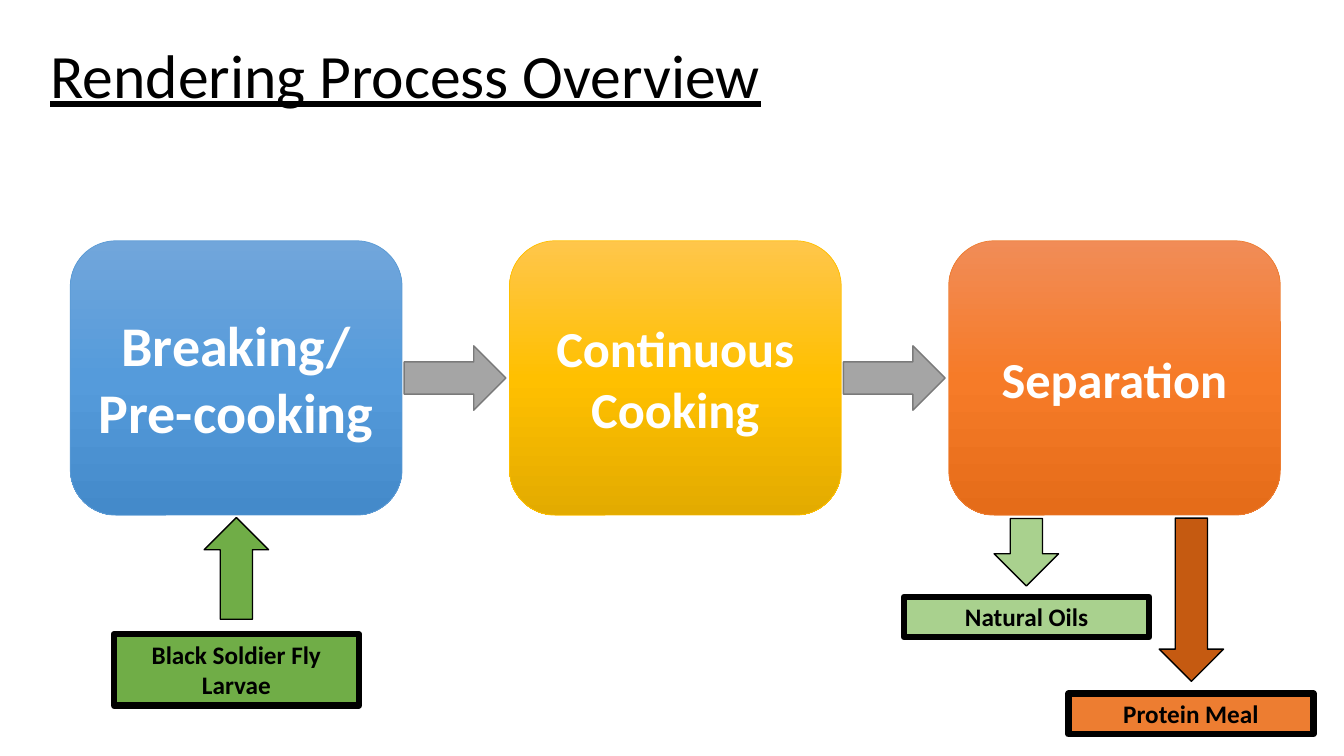
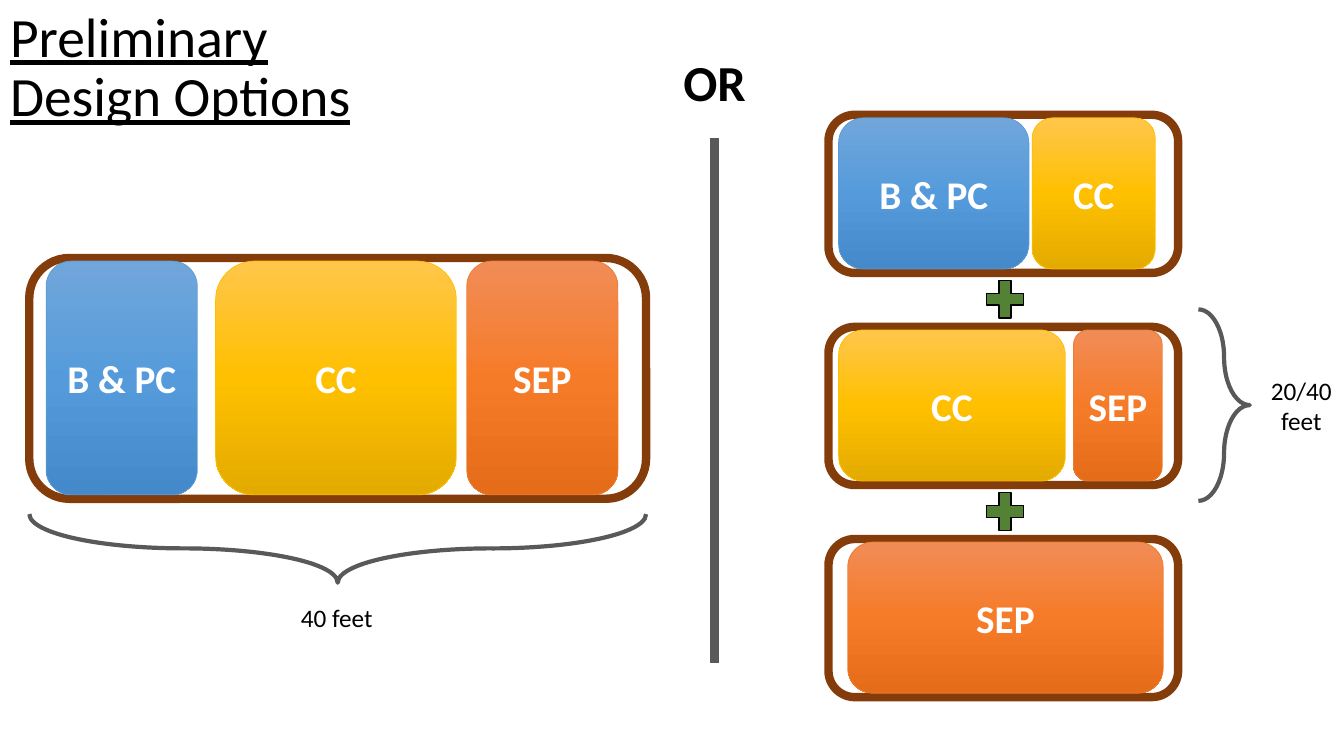
from copy import deepcopy
from dataclasses import dataclass

from lxml import etree
from pptx import Presentation
from pptx.dml.color import RGBColor
from pptx.enum.shapes import MSO_CONNECTOR, MSO_SHAPE
from pptx.enum.text import MSO_ANCHOR, PP_ALIGN
from pptx.oxml.ns import qn
from pptx.util import Pt

ROUNDED = MSO_SHAPE.ROUNDED_RECTANGLE
RECTANGLE = MSO_SHAPE.RECTANGLE
ARROW = MSO_SHAPE.RIGHT_ARROW
BRACE = MSO_SHAPE.RIGHT_BRACE
PLUS = MSO_SHAPE.MATH_PLUS
STRAIGHT = MSO_CONNECTOR.STRAIGHT
LEFT, CENTER = PP_ALIGN.LEFT, PP_ALIGN.CENTER
TOP, MIDDLE = MSO_ANCHOR.TOP, MSO_ANCHOR.MIDDLE

FONT = "Calibri"
BLACK, WHITE = "000000", "FFFFFF"
GRAY, GRAY_EDGE, DARK_GRAY = "A5A5A5", "7A7A7A", "595959"
GREEN, LIGHT_GREEN, DARK_GREEN = "70AD47", "A9D18E", "548235"
ORANGE, DARK_ORANGE, BROWN = "ED7D31", "C55A11", "843C0B"


@dataclass(frozen=True)
class Box:
    left: float
    top: float
    width: float
    height: float

    def points(self) -> tuple:
        return Pt(self.left), Pt(self.top), Pt(self.width), Pt(self.height)


@dataclass(frozen=True)
class Stage:
    """A process stage: its short name and its gradient colours."""
    short: str
    stops: tuple[str, str, str]
    edge: str


@dataclass(frozen=True)
class Step:
    stage: Stage
    text: str
    size: float


@dataclass(frozen=True)
class Flow:
    """A material entering or leaving the process, with its arrow."""
    text: str
    label: Box
    label_fill: str
    arrow: Box
    arrow_fill: str
    rotation: float


@dataclass(frozen=True)
class Module:
    stage: Stage
    left: float
    width: float


BREAKING = Stage("B & PC", ("71A6DB", "559BDB", "448ACA"), "5B9BD5")
COOKING = Stage("CC", ("FFC64B", "FFC000", "E3AB00"), "FFC000")
SEPARATION = Stage("SEP", ("F18C57", "F67B28", "E56C19"), ORANGE)

STEPS = (
    Step(BREAKING, "Breaking/\nPre-cooking", 40),
    Step(COOKING, "Continuous Cooking", 36),
    Step(SEPARATION, "Separation", 36),
)
STEP_PITCH = 313.7

FLOWS = (
    Flow("Black Soldier Fly Larvae", Box(81.4, 453, 175, 51), GREEN,
         Box(132.5, 383, 72.7, 46), GREEN, 270),
    Flow("Protein Meal", Box(763.2, 495.4, 175, 29), ORANGE,
         Box(792.7, 405.4, 116.6, 46), DARK_ORANGE, 90),
    Flow("Natural Oils", Box(645.8, 426.2, 175, 29), LIGHT_GREEN,
         Box(709, 371.5, 48.2, 46), LIGHT_GREEN, 90),
)

SINGLE_UNIT = (Module(BREAKING, 33, 108), Module(COOKING, 154, 172),
               Module(SEPARATION, 333.4, 108))
SPLIT_UNITS = (
    (Module(BREAKING, 599, 136), Module(COOKING, 737.3, 88)),
    (Module(COOKING, 599, 162), Module(SEPARATION, 766.8, 63.4)),
    (Module(SEPARATION, 605.5, 225.4),),
)
UNIT_PITCH = 151.5


def color(value: str) -> RGBColor:
    return RGBColor.from_string(value)


def set_line(line, value: str, width: float) -> None:
    line.color.rgb = color(value)
    line.width = Pt(width)


def write(shape, text: str, size: float, ink: str = BLACK, align=CENTER,
          anchor=TOP, inset: float = 7.2, spacing: float = 1.0, **extra) -> None:
    """Fill a shape with one paragraph per line; extra holds font values."""
    frame = shape.text_frame
    layout = {"word_wrap": True, "vertical_anchor": anchor,
              "margin_left": Pt(inset), "margin_right": Pt(inset)}
    for name, value in layout.items():
        setattr(frame, name, value)
    frame.text = text
    font_values = {"name": FONT, "size": Pt(size), **extra}
    for para in frame.paragraphs:
        para.alignment = align
        para.line_spacing = spacing
        for span in para.runs:
            for name, value in font_values.items():
                setattr(span.font, name, value)
            span.font.color.rgb = color(ink)


def add_page(deck, title: str, box: Box, size: float):
    page = deck.slides.add_slide(deck.slide_layouts[5])
    holder = page.shapes.title
    holder.left, holder.top, holder.width, holder.height = box.points()
    write(holder, title, size, align=LEFT, anchor=MIDDLE, spacing=0.9,
          underline=True)
    return page


def add_figure(shapes, kind, box: Box, fill: str | None, edge: str,
               width: float = 1, rotation: float = 0):
    shape = shapes.add_shape(kind, *box.points())
    shape.shadow.inherit = False
    shape.rotation = rotation
    if fill:
        shape.fill.solid()
        shape.fill.fore_color.rgb = color(fill)
    else:
        shape.fill.background()
    set_line(shape.line, edge, width)
    return shape


def add_stage(shapes, stage: Stage, box: Box, text: str, size: float) -> None:
    shape = add_figure(shapes, ROUNDED, box, None, stage.edge, 0.5)
    shape.fill.gradient()
    shape.fill.gradient_angle = 270
    stop_list = shape._element.spPr.find(qn("a:gradFill")).find(qn("a:gsLst"))
    stop_list.append(deepcopy(stop_list[0]))
    for index, (stop, value) in enumerate(
            zip(shape.fill.gradient_stops, stage.stops)):
        stop.position = index / 2
        stop.color.rgb = color(value)
    write(shape, text, size, WHITE, anchor=MIDDLE, inset=3.6, bold=True)


def add_unit(page, box: Box, modules: tuple[Module, ...]) -> None:
    """Draw a container with its modules as one group."""
    shapes = page.shapes.add_group_shape().shapes
    add_figure(shapes, ROUNDED, box, WHITE, BROWN, 6)
    for module in modules:
        inner = Box(module.left, box.top + 2.2, module.width, box.height - 5)
        add_stage(shapes, module.stage, inner, module.stage.short, 28)


def add_brace(page, box: Box, rotation: float = 0) -> None:
    brace = add_figure(page.shapes, BRACE, box, None, DARK_GRAY, 3, rotation)
    brace.adjustments[0] = 2.26


def add_note(page, box: Box, text: str, size: float, **extra) -> None:
    note = page.shapes.add_textbox(*box.points())
    write(note, text, size, inset=3.6, **extra)


def add_divider(page, left: float, top: float, bottom: float) -> None:
    divider = page.shapes.add_connector(
        STRAIGHT, Pt(left), Pt(top), Pt(left), Pt(bottom))
    set_line(divider.line, DARK_GRAY, 6)
    etree.SubElement(divider._element.spPr, qn("a:effectLst"))


def build_overview(deck) -> None:
    page = add_page(deck, "Rendering Process Overview",
                    Box(28.8, 3.6, 828, 104.4), 44)
    for index, step in enumerate(STEPS):
        shift = index * STEP_PITCH
        add_stage(page.shapes, step.stage, Box(50.2 + shift, 172, 237, 196),
                  step.text, step.size)
        if index < len(STEPS) - 1:
            add_figure(page.shapes, ARROW, Box(288.7 + shift, 247, 72.7, 46),
                       GRAY, GRAY_EDGE)
    for flow in FLOWS:
        add_figure(page.shapes, ARROW, flow.arrow, flow.arrow_fill, BLACK,
                   rotation=flow.rotation)
        label = add_figure(page.shapes, RECTANGLE, flow.label,
                           flow.label_fill, BLACK, 4.5)
        write(label, flow.text, 18, bold=True)


def build_options(deck) -> None:
    page = add_page(deck, "Preliminary Design Options",
                    Box(0, 0, 315.4, 98.6), 39.6)
    add_unit(page, Box(20.9, 184.3, 440.6, 172), SINGLE_UNIT)
    add_brace(page, Box(216.7, 171.4, 49, 440.6), 90)
    add_note(page, Box(201.6, 427, 77.8, 29), "40 feet", 18)

    add_divider(page, 510.5, 98.6, 473.8)
    add_note(page, Box(480.2, 33, 60.5, 51), "OR", 36, bold=True)

    for index, modules in enumerate(SPLIT_UNITS):
        shift = index * UNIT_PITCH
        add_unit(page, Box(591.8, 82 + shift, 249.8, 113), modules)
        if index < len(SPLIT_UNITS) - 1:
            add_figure(page.shapes, PLUS, Box(700, 195.4 + shift, 36, 36.7),
                       DARK_GREEN, BLACK)
    add_brace(page, Box(856, 221, 36.7, 136.8))
    add_note(page, Box(900, 264.2, 59, 51), "20/40 feet", 18)


def main() -> None:
    deck = Presentation()
    deck.slide_width, deck.slide_height = Pt(960), Pt(540)
    build_overview(deck)
    build_options(deck)
    deck.save("out.pptx")


if __name__ == "__main__":
    main()
